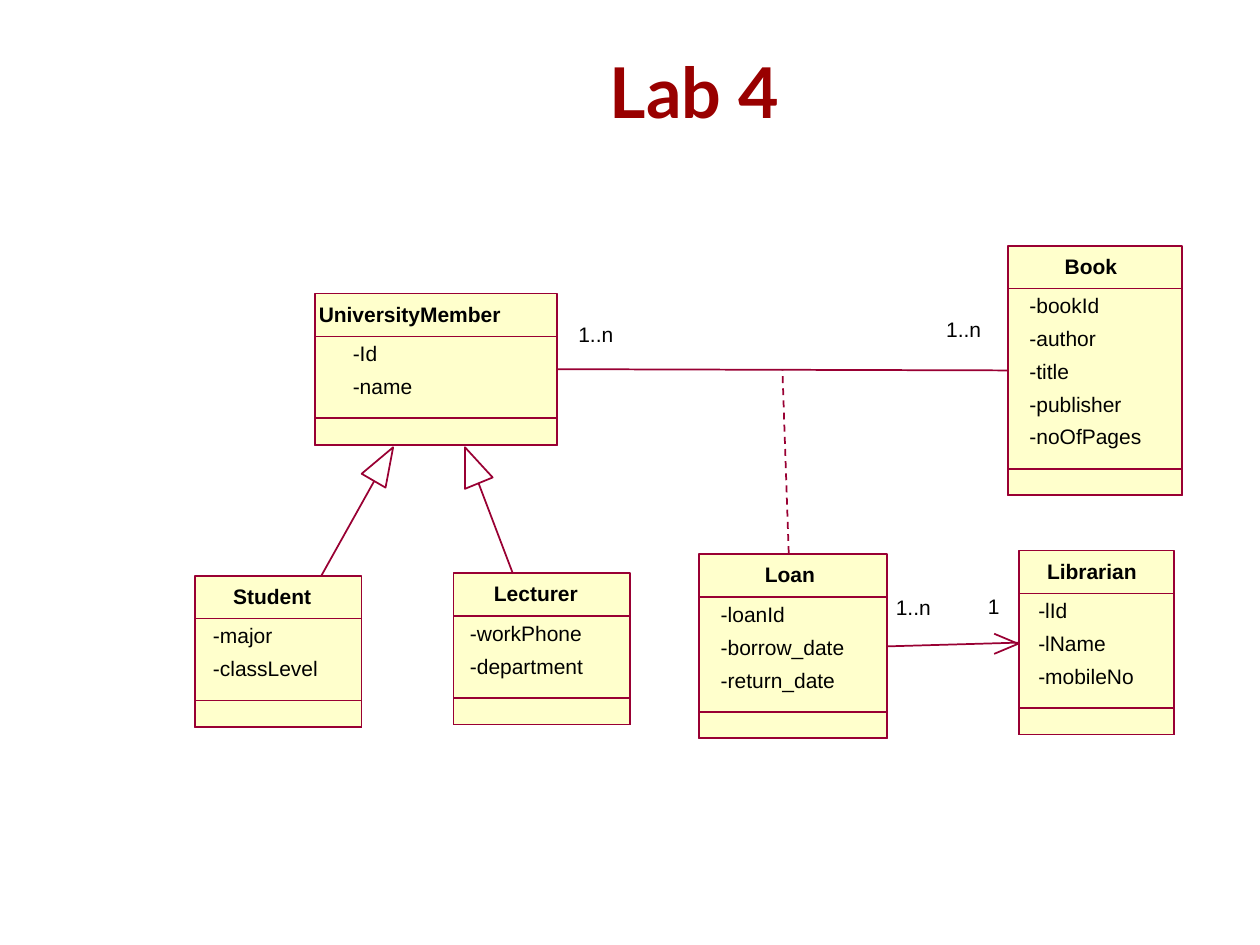
from lxml.etree import SubElement
from pptx import Presentation
from pptx.dml.color import RGBColor
from pptx.enum.dml import MSO_LINE
from pptx.enum.shapes import MSO_CONNECTOR, MSO_SHAPE
from pptx.enum.text import MSO_ANCHOR, PP_ALIGN
from pptx.oxml.ns import qn
from pptx.util import Inches, Pt

COLUMNS, ROWS = 100, 75
SLIDE_W, SLIDE_H = Inches(10), Inches(7.5)
HEAD, PITCH, GAP, FOOT = 3.4, 2.6, 1.3, 2.1
TOP, LEFT, RIGHT = 0, 1, 3

FRAME = dict(margin_left=0, margin_right=0, margin_top=0, margin_bottom=0,
             word_wrap=True)
BODY = dict(name="Arial", size=Pt(12), bold=False)
NAME = dict(BODY, bold=True)
TITLE = dict(name="Lato", size=Pt(40), bold=True)

CLASSES = [
    ("Student", 15.5, 45.7, 13.2, 3.0, 1.4, ["-major", "-classLevel"]),
    ("Lecturer", 36, 45.5, 14, 3.2, 1.3, ["-workPhone", "-department"]),
    ("Librarian", 80.9, 43.7, 12.3, 2.2, 1.5, ["-lId", "-lName", "-mobileNo"]),
    ("Loan", 55.5, 44, 14.9, 5.2, 1.7,
     ["-loanId", "-borrow_date", "-return_date"]),
    ("UniversityMember", 25, 23.3, 19.2, 0.3, 3.0, ["-Id", "-name"]),
    ("Book", 80, 19.5, 13.8, 4.5, 1.7,
     ["-bookId", "-author", "-title", "-publisher", "-noOfPages"]),
]
MULTIPLICITIES = [("1..n", 45.9, 25.5), ("1..n", 75.1, 25.1),
                  ("1..n", 71.1, 47.2), ("1", 78.4, 47.1)]
GENERALIZATIONS = [
    ((25.5, 45.7), [(31.2, 35.5), (30.6, 38.7), (28.7, 37.6)]),
    ((40.7, 45.5), [(36.9, 35.5), (39.1, 37.9), (36.9, 38.8)]),
]


def color(value):
    return RGBColor.from_string(value)


def grid(*lengths):
    units = (SLIDE_W / COLUMNS, SLIDE_H / ROWS)
    return [round(n * units[i % 2]) for i, n in enumerate(lengths)]


def apply(target, values):
    for key, value in values.items():
        setattr(target, key, value)


def style_line(line):
    line.color.rgb = color("990033")
    line.width = Pt(1)


def set_text(sp, text, font, hue="000000", **frame):
    tf = sp.text_frame
    apply(tf, dict(FRAME, **frame))
    p = tf.paragraphs[0]
    r = p.add_run()
    r.text = text
    apply(r.font, font)
    r.font.color.rgb = color(hue)
    return p


def add_text(s, text, x, y, w, font=BODY):
    set_text(s.shapes.add_textbox(*grid(x, y, w, 2)), text, font)


def style_shape(sp, fill=None):
    sp.shadow.inherit = False
    style_line(sp.line)
    if fill:
        sp.fill.solid()
        sp.fill.fore_color.rgb = color(fill)
    else:
        sp.fill.background()
    return sp


def add_box(s, x, y, w, h, fill=None):
    sp = s.shapes.add_shape(MSO_SHAPE.RECTANGLE, *grid(x, y, w, h))
    return style_shape(sp, fill)


def add_class(s, name, x, y, w, name_dx, field_dx, fields):
    body = len(fields) * PITCH + GAP + FOOT
    outer = add_box(s, x, y, w, HEAD + body, "FFFFCC")
    add_box(s, x, y + HEAD, w, body)
    add_box(s, x, y + HEAD + body - FOOT, w, FOOT)
    add_text(s, name, x + name_dx, y + 0.6, w - name_dx, NAME)
    for i, field in enumerate(fields):
        add_text(s, field, x + field_dx, y + HEAD + 0.35 + i * PITCH,
                 w - field_dx)
    return outer


def add_line(s, start=(0, 0), end=(0, 0)):
    line = s.shapes.add_connector(MSO_CONNECTOR.STRAIGHT, *grid(*start, *end))
    style_line(line.line)
    SubElement(line._element.spPr, qn("a:effectLst"))
    return line


def join(s, source, target):
    line = add_line(s)
    line.begin_connect(source, RIGHT)
    line.end_connect(target, LEFT)


def add_outline(s, points, close, fill=None):
    first, *rest = [grid(*point) for point in points]
    builder = s.shapes.build_freeform(*first)
    builder.add_line_segments(rest, close=close)
    style_shape(builder.convert_to_shape(), fill)


def add_title(s, text):
    sp = s.shapes.title
    left, top, width, height = grid(12.4, 2.1, 85.4, 11.3)
    apply(sp, dict(left=left, top=top, width=width, height=height))
    p = set_text(sp, text, TITLE, "990000", vertical_anchor=MSO_ANCHOR.MIDDLE)
    apply(p, dict(alignment=PP_ALIGN.CENTER, line_spacing=0.81))


def main():
    prs = Presentation()
    apply(prs, dict(slide_width=SLIDE_W, slide_height=SLIDE_H))
    s = prs.slides.add_slide(prs.slide_layouts[5])
    add_title(s, "Lab 4")

    boxes = {row[0]: add_class(s, *row) for row in CLASSES}
    join(s, boxes["UniversityMember"], boxes["Book"])
    join(s, boxes["Loan"], boxes["Librarian"])
    add_outline(s, [(78.9, 50.3), (80.8, 51.1), (78.9, 51.9)], False)

    for start, triangle in GENERALIZATIONS:
        add_line(s, start, triangle[0])
        add_outline(s, triangle, True, "FFFFFF")

    add_line(s, (62.6, 43.9), (62.1, 29.4)).line.dash_style = MSO_LINE.DASH
    for text, x, y in MULTIPLICITIES:
        add_text(s, text, x, y, 3)
    prs.save("out.pptx")


if __name__ == "__main__":
    main()
